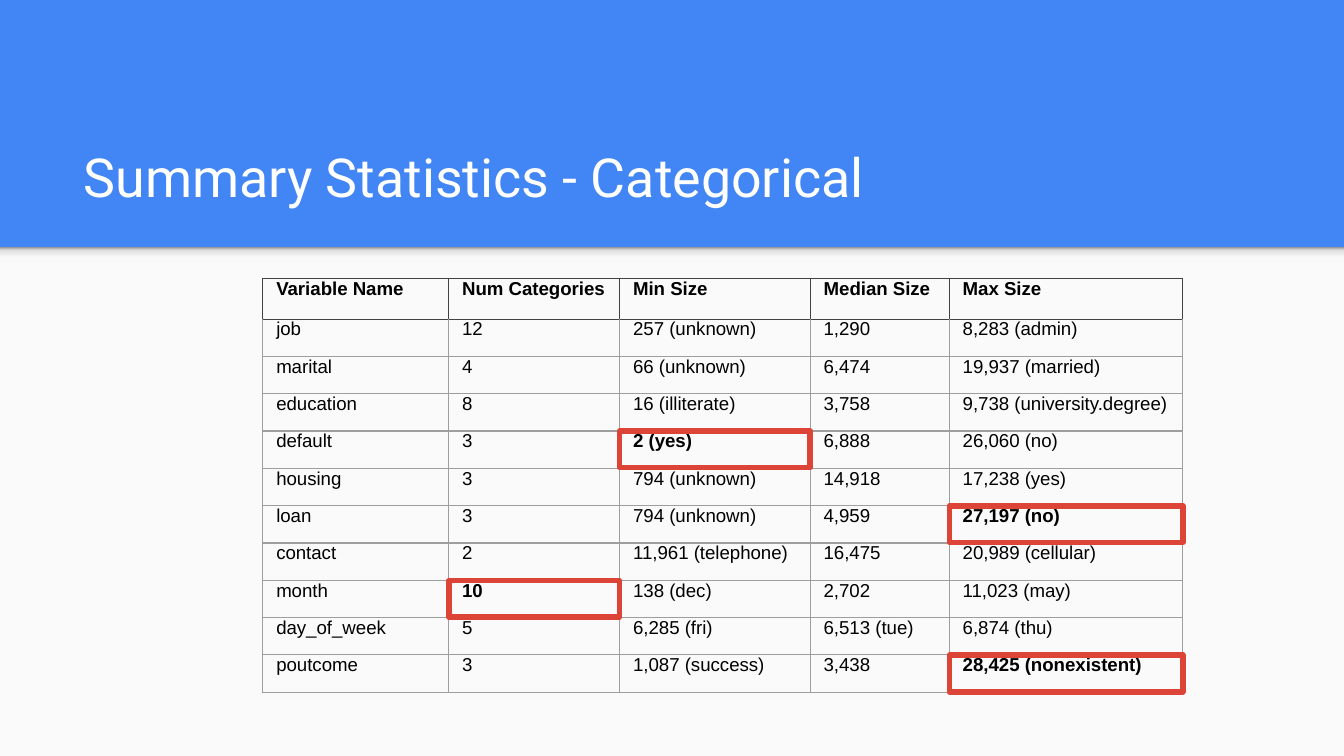
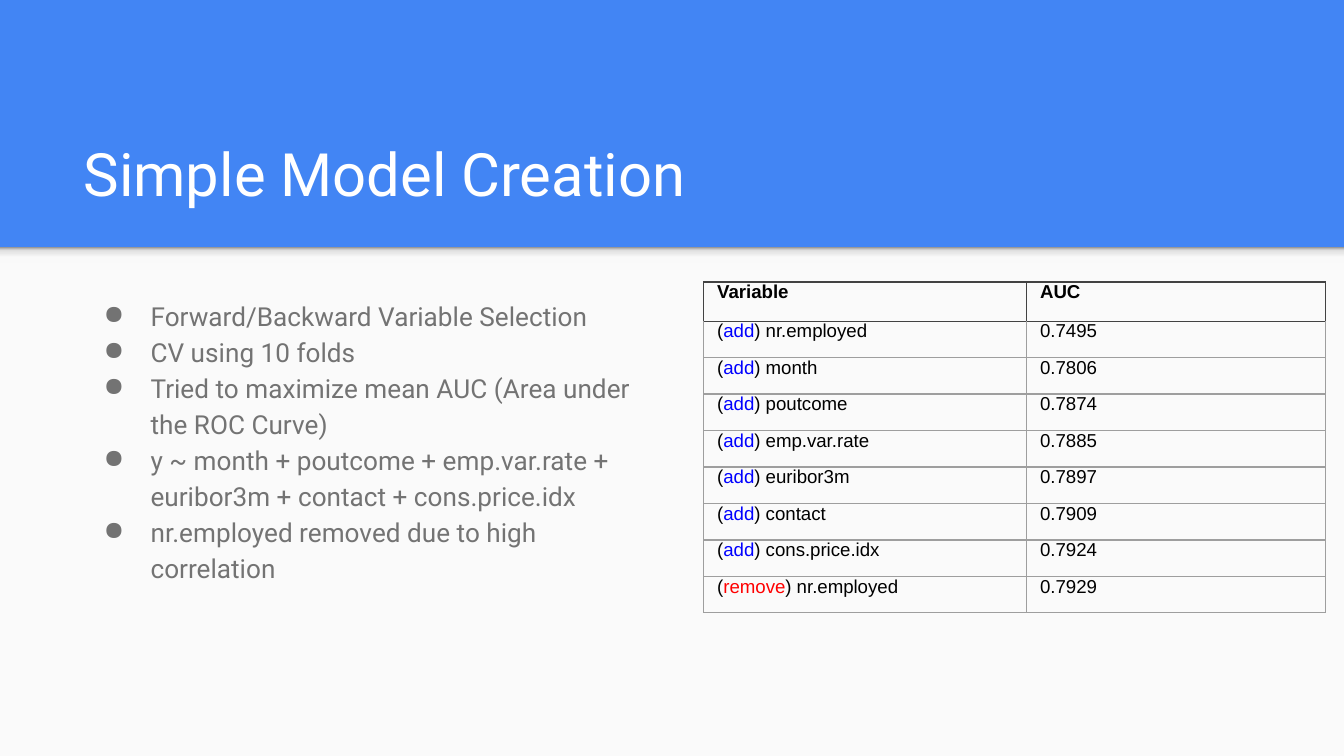
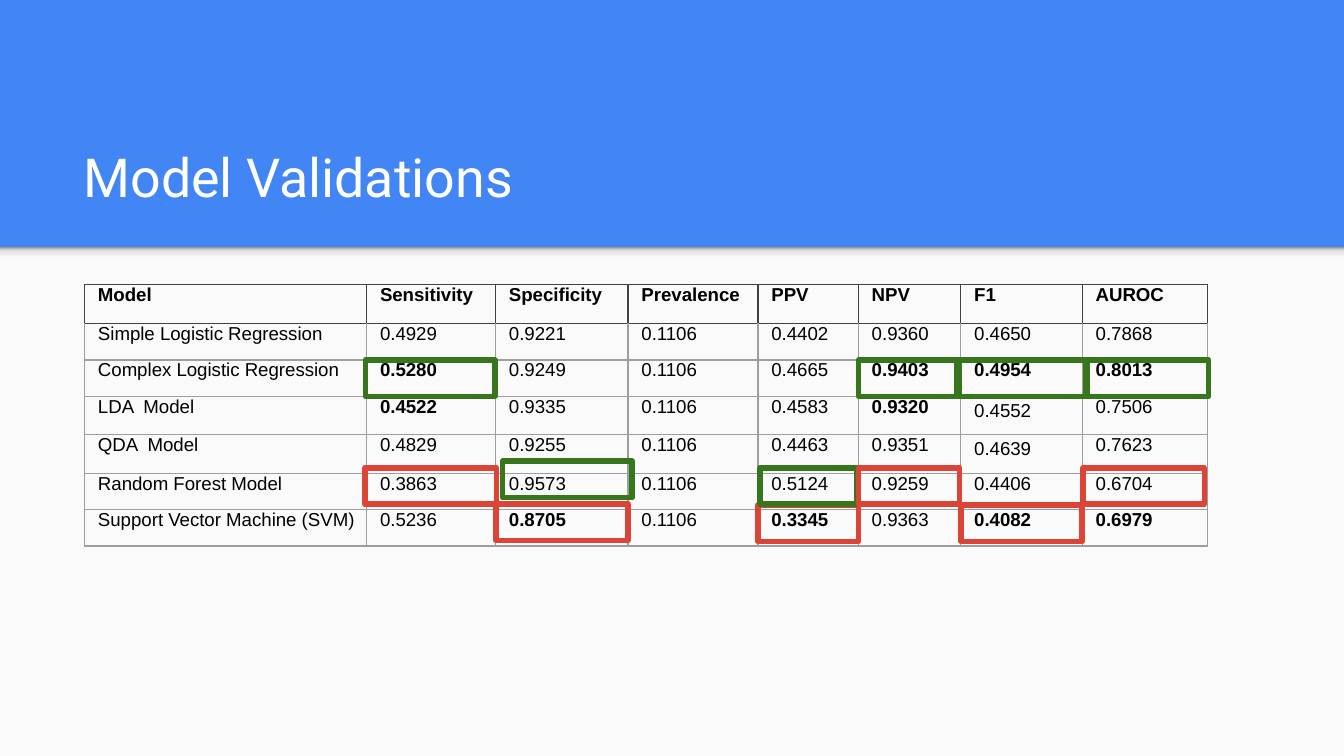
from pptx import Presentation
from pptx.dml.color import RGBColor
from pptx.enum.shapes import MSO_SHAPE
from pptx.enum.text import MSO_ANCHOR, MSO_AUTO_SIZE, PP_ALIGN
from pptx.oxml import parse_xml
from pptx.oxml.ns import nsdecls
from pptx.util import Pt

BLUE, PAPER, WHITE, BLACK = "4285F4", "FAFAFA", "FFFFFF", "000000"
GREY, RULE, HEADER_RULE = "737373", "9E9E9E", "424242"
RED, GREEN = "DB4437", "38761D"
STEP_COLORS = {"add": "0000FF", "remove": "FF0000"}
SHADE_STOPS = [(0, "F9F9F9"), (36, "F9F9F9"), (80, "DEDEDE"), (100, "999999")]
PAGE_WIDTH, PAGE_HEIGHT, BAND_BOTTOM = 720, 405, 132.4


def color(value):
    return RGBColor.from_string(value)


class Deck:
    heading_font, table_font = "Roboto", "Arial"

    def __init__(self):
        self.deck = Presentation()
        self.deck.slide_width = Pt(PAGE_WIDTH)
        self.deck.slide_height = Pt(PAGE_HEIGHT)
        self.layout = self.deck.slide_layouts[5]
        self.page = None

    def add_page(self, title, size):
        self.page = self.deck.slides.add_slide(self.layout)
        if len(self.deck.slides) == 1:
            self.dress_layout()
        box = self.page.shapes.title
        self.place(box, 37.6, 58.2, 647, 60.8)
        frame = box.text_frame
        frame.text = title
        frame.auto_size = MSO_AUTO_SIZE.NONE
        frame.vertical_anchor = MSO_ANCHOR.BOTTOM
        self.set_margins(frame)
        frame.paragraphs[0].alignment = PP_ALIGN.LEFT
        self.style(frame.paragraphs[0].runs[0], self.heading_font, size, WHITE)

    def dress_layout(self):
        fill = self.layout.background.fill
        fill.solid()
        fill.fore_color.rgb = color(BLUE)
        paper = self.add_rectangle(0, BAND_BOTTOM, PAGE_WIDTH, PAGE_HEIGHT - BAND_BOTTOM)
        paper.fill.solid()
        paper.fill.fore_color.rgb = color(PAPER)
        shade = self.add_rectangle(0, BAND_BOTTOM, PAGE_WIDTH, 8.6)
        shade.fill.gradient()
        shade.fill.gradient_angle = 90
        stops = shade._element.spPr.find(".//{*}gsLst")
        stops.clear()
        for position, value in SHADE_STOPS:
            stops.append(parse_xml(
                f'<a:gs {nsdecls("a")} pos="{position * 1000}"><a:srgbClr val="{value}"/></a:gs>'))
        for depth, band in enumerate((paper, shade), 2):
            self.layout.shapes._spTree.insert(depth, band._element)

    def place(self, box, left, top, width, height):
        box.left, box.top, box.width, box.height = map(Pt, (left, top, width, height))

    def set_margins(self, frame):
        frame.margin_left = frame.margin_right = Pt(7.2)
        frame.margin_top = frame.margin_bottom = Pt(7.2)

    def style(self, span, font, size, value, bold=False):
        span.font.name = font
        span.font.size = Pt(size)
        span.font.bold = bold
        span.font.color.rgb = color(value)

    def add_rectangle(self, left, top, width, height):
        box = self.page.shapes.add_shape(
            MSO_SHAPE.RECTANGLE, Pt(left), Pt(top), Pt(width), Pt(height))
        box.shadow.inherit = False
        box.line.fill.background()
        return box

    def add_frame(self, left, top, width, value, height=19.6):
        box = self.add_rectangle(left, top, width, height)
        box.fill.background()
        box.line.color.rgb = color(value)
        box.line.width = Pt(3)

    def add_bullets(self, left, top, width, height, lines):
        box = self.page.shapes.add_textbox(Pt(left), Pt(top), Pt(width), Pt(height))
        frame = box.text_frame
        frame.word_wrap = True
        self.set_margins(frame)
        frame.text = "\n".join(lines)
        for para in frame.paragraphs:
            para.line_spacing = 1.15
            self.style(para.runs[0], self.heading_font, 14, GREY)
            properties = para._p.get_or_add_pPr()
            properties.set("marL", str(Pt(36)))
            properties.set("indent", str(-Pt(25.2)))
            properties.append(parse_xml(
                f'<a:buClr {nsdecls("a")}><a:srgbClr val="{GREY}"/></a:buClr>'))
            properties.append(parse_xml(f'<a:buChar {nsdecls("a")} char="●"/>'))

    def add_table(self, left, top, widths, header_height, row_height, rows, bold=()):
        total_height = header_height + row_height * (len(rows) - 1)
        table = self.page.shapes.add_table(
            len(rows), len(widths), Pt(left), Pt(top), Pt(sum(widths)), Pt(total_height)).table
        table.first_row = table.horz_banding = False
        for column, width in zip(table.columns, widths):
            column.width = Pt(width)
        for r, values in enumerate(rows):
            table.rows[r].height = Pt(row_height if r else header_height)
            for c, value in enumerate(values):
                cell = table.cell(r, c)
                self.fill_cell(cell, value, r == 0 or (r, c) in bold)
                self.rule_cell(cell, r)
        return table

    def fill_cell(self, cell, value, bold):
        cell.margin_left = cell.margin_bottom = Pt(7.2)
        cell.margin_right = cell.margin_top = 0
        spans = value if isinstance(value, list) else [(value, BLACK)]
        para = cell.text_frame.paragraphs[0]
        for text, value_color in spans:
            span = para.add_run()
            span.text = text
            self.style(span, self.table_font, 10, value_color, bold)

    def rule_cell(self, cell, row):
        properties = cell._tc.get_or_add_tcPr()
        for side in ("L", "R", "T", "B"):
            dark = row == 0 or (row == 1 and side == "T")
            properties.append(parse_xml(
                f'<a:ln{side} {nsdecls("a")} w="{Pt(0.75)}"><a:solidFill>'
                f'<a:srgbClr val="{HEADER_RULE if dark else RULE}"/>'
                f'</a:solidFill></a:ln{side}>'))
        cell.fill.background()


def add_summary(deck):
    deck.add_page("Summary Statistics - Categorical", 28.8)
    left, top, header_height, row_height = 140.8, 149.2, 21.8, 20
    widths = [99.6, 91.6, 102.1, 74.5, 125.1]
    extremes = [(4, 2), (8, 1), (10, 4), (6, 4)]
    rows = [
        ("Variable Name", "Num Categories", "Min Size", "Median Size", "Max Size"),
        ("job", "12", "257 (unknown)", "1,290", "8,283 (admin)"),
        ("marital", "4", "66 (unknown)", "6,474", "19,937 (married)"),
        ("education", "8", "16 (illiterate)", "3,758", "9,738 (university.degree)"),
        ("default", "3", "2 (yes)", "6,888", "26,060 (no)"),
        ("housing", "3", "794 (unknown)", "14,918", "17,238 (yes)"),
        ("loan", "3", "794 (unknown)", "4,959", "27,197 (no)"),
        ("contact", "2", "11,961 (telephone)", "16,475", "20,989 (cellular)"),
        ("month", "10", "138 (dec)", "2,702", "11,023 (may)"),
        ("day_of_week", "5", "6,285 (fri)", "6,513 (tue)", "6,874 (thu)"),
        ("poutcome", "3", "1,087 (success)", "3,438", "28,425 (nonexistent)"),
    ]
    deck.add_table(left, top, widths, header_height, row_height, rows, extremes)
    for r, c in extremes:
        row_top = top + header_height + row_height * (r - 1)
        deck.add_frame(left + sum(widths[:c]), row_top, widths[c], RED)


def add_simple_model(deck):
    deck.add_page("Simple Model Creation", 32)
    deck.add_bullets(37.6, 151.2, 322.6, 213, [
        "Forward/Backward Variable Selection",
        "CV using 10 folds",
        "Tried to maximize mean AUC (Area under the ROC Curve)",
        "y ~ month + poutcome + emp.var.rate + euribor3m + contact + cons.price.idx",
        "nr.employed removed due to high correlation",
    ])
    steps = [
        ("add", "nr.employed", "0.7495"),
        ("add", "month", "0.7806"),
        ("add", "poutcome", "0.7874"),
        ("add", "emp.var.rate", "0.7885"),
        ("add", "euribor3m", "0.7897"),
        ("add", "contact", "0.7909"),
        ("add", "cons.price.idx", "0.7924"),
        ("remove", "nr.employed", "0.7929"),
    ]
    rows = [("Variable", "AUC")]
    for action, variable, score in steps:
        spans = [("(", BLACK), (action, STEP_COLORS[action]), (f") {variable}", BLACK)]
        rows.append((spans, score))
    deck.add_table(377, 151.1, [173, 159.9], 21, 19.55, rows)


def add_validations(deck):
    deck.add_page("Model Validations", 28.8)
    rows = [
        ("Model", "Sensitivity", "Specificity", "Prevalence", "PPV", "NPV", "F1", "AUROC"),
        ("Simple Logistic Regression", "0.4929", "0.9221", "0.1106", "0.4402", "0.9360", "0.4650", "0.7868"),
        ("Complex Logistic Regression", "0.5280", "0.9249", "0.1106", "0.4665", "0.9403", "0.4954", "0.8013"),
        ("LDA  Model", "0.4522", "0.9335", "0.1106", "0.4583", "0.9320", "0.4552", "0.7506"),
        ("QDA  Model", "0.4829", "0.9255", "0.1106", "0.4463", "0.9351", "0.4639", "0.7623"),
        ("Random Forest Model", "0.3863", "0.9573", "0.1106", "0.5124", "0.9259", "0.4406", "0.6704"),
        ("Support Vector Machine (SVM)", "0.5236", "0.8705", "0.1106", "0.3345", "0.9363", "0.4082", "0.6979"),
    ]
    bold = [(2, 1), (2, 5), (2, 6), (2, 7), (3, 1), (3, 5), (6, 2), (6, 4), (6, 6), (6, 7)]
    widths = [151.1, 69.1, 71, 69.6, 53.8, 54.9, 65.1, 67]
    table = deck.add_table(45.3, 152.4, widths, 21, 19.5, rows, bold)
    for r in (3, 4):
        table.cell(r, 6).text_frame.paragraphs[0].line_spacing = 1.2
    complex_top, forest_top, vector_top = 192.8, 250.6, 270.5
    for left, top, width, value in [
        (195.8, complex_top, 69.4, GREEN),
        (406, vector_top, 54, RED),
        (269.3, 247, 69.4, GREEN),
        (514.8, vector_top, 65, RED),
        (407.2, forest_top, 52, GREEN),
        (580.2, forest_top, 65, RED),
        (460, complex_top, 54, GREEN),
        (265.7, 270, 70.6, RED),
        (512.6, complex_top, 69.4, GREEN),
        (582.4, complex_top, 65, GREEN),
        (460, forest_top, 54, RED),
        (195.4, forest_top, 70.6, RED),
    ]:
        deck.add_frame(left, top, width, value)


def main():
    deck = Deck()
    add_summary(deck)
    add_simple_model(deck)
    add_validations(deck)
    deck.deck.save("out.pptx")


if __name__ == "__main__":
    main()
